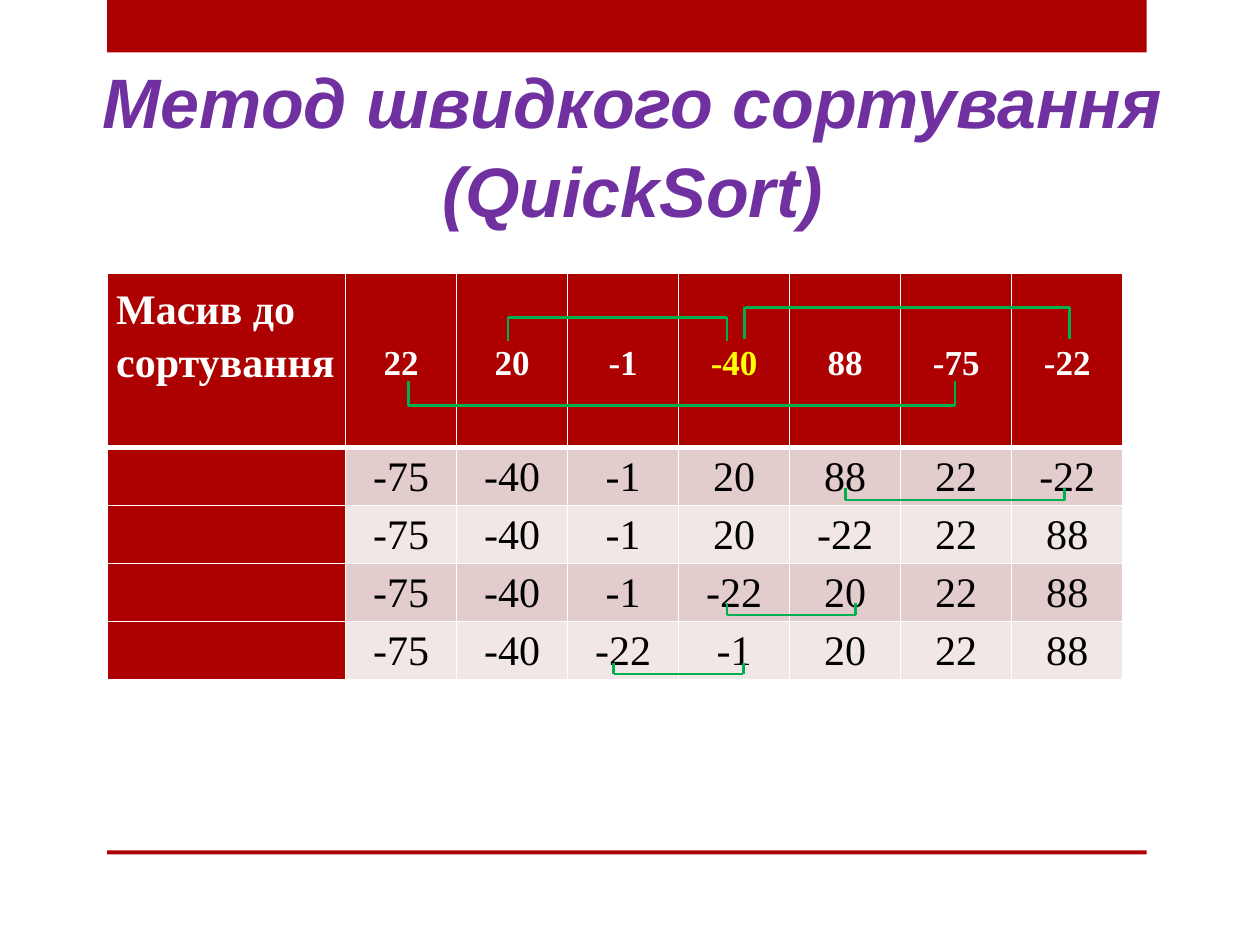
from pptx import Presentation
from pptx import oxml
from pptx.dml.color import RGBColor
from pptx.enum import shapes, text
from pptx.oxml import ns
from pptx.util import Pt


class Theme:
    red = RGBColor.from_string("AD0101")
    dark = RGBColor.from_string("E3CCCC")
    light = RGBColor.from_string("F1E7E7")
    white = RGBColor.from_string("FFFFFF")
    black = RGBColor.from_string("000000")
    yellow = RGBColor.from_string("FFFF00")
    purple = RGBColor.from_string("7030A0")
    green = RGBColor.from_string("00B050")
    serif = "Times New Roman"
    sans = "Arial"
    title = 40
    body = 24
    head = 20


def write(frame, words, size=Theme.body, face=Theme.serif, color=Theme.black,
          bold=False, italic=False, align=text.PP_ALIGN.CENTER, space=1.15):
    para = frame.paragraphs[0]
    para.alignment = align
    para.line_spacing = space
    run = para.add_run()
    run.text = words
    font = run.font
    font.size = Pt(size)
    font.name = face
    font.bold = bold
    font.italic = italic
    font.color.rgb = color


def edge(cell, row):
    props = cell._tc.get_or_add_tcPr()
    for spot, side in enumerate("LRTB"):
        thick = (row == 0 and side == "B") or (row == 1 and side == "T")
        line = oxml.parse_xml(
            f'<a:ln{side} {ns.nsdecls("a")} w="{Pt(3 if thick else 1)}">'
            f'<a:solidFill><a:srgbClr val="{Theme.white}"/></a:solidFill>'
            f'</a:ln{side}>')
        props.insert(spot, line)


deck = Presentation()
deck.slide_width, deck.slide_height = Pt(720), Pt(540)
slide = deck.slides.add_slide(deck.slide_layouts[5])

for top, height in ((0, 30), (486, 2.2)):
    bar = slide.shapes.add_shape(shapes.MSO_SHAPE.RECTANGLE,
                                 Pt(61.2), Pt(top), Pt(594), Pt(height))
    bar.shadow.inherit = False
    bar.fill.solid()
    bar.fill.fore_color.rgb = Theme.red
    bar.line.fill.background()

title = slide.shapes.title
title.left, title.top, title.width, title.height = Pt(18.7), Pt(29.5), Pt(685.4), Pt(104.4)
title.text_frame.word_wrap = True
title.text_frame.auto_size = text.MSO_AUTO_SIZE.SHAPE_TO_FIT_TEXT
title.text_frame.vertical_anchor = text.MSO_ANCHOR.MIDDLE
write(title.text_frame, "Метод швидкого сортування (QuickSort)", size=Theme.title,
      face=Theme.sans, color=Theme.purple, bold=True, italic=True, space=1.05)

steps = [
    ["Масив до сортування", 22, 20, -1, -40, 88, -75, -22],
    ["", -75, -40, -1, 20, 88, 22, -22],
    ["", -75, -40, -1, 20, -22, 22, 88],
    ["", -75, -40, -1, -22, 20, 22, 88],
    ["", -75, -40, -22, -1, 20, 22, 88],
]
pivot = -40
wide, narrow, tall, short = 136.1, 63.45, 99.5, 33.1
table = slide.shapes.add_table(
    len(steps), len(steps[0]), Pt(61.4), Pt(156.2),
    Pt(wide + 7 * narrow), Pt(tall + 4 * short)).table
table.horz_banding = False
for col, column in enumerate(table.columns):
    column.width = Pt(narrow if col else wide)

for row, step in enumerate(steps):
    table.rows[row].height = Pt(short if row else tall)
    for col, value in enumerate(step):
        cell = table.cell(row, col)
        cell.margin_left = cell.margin_right = Pt(5)
        cell.margin_top = cell.margin_bottom = 0
        cell.fill.solid()
        if row == 0 or col == 0:
            cell.fill.fore_color.rgb = Theme.red
        else:
            cell.fill.fore_color.rgb = Theme.dark if row % 2 else Theme.light
        edge(cell, row)
        if row == 0:
            cell.vertical_anchor = text.MSO_ANCHOR.MIDDLE
        if row == 0 and col == 0:
            cell.margin_bottom = Pt(31)
            write(cell.text_frame, value, color=Theme.white, bold=True,
                  align=text.PP_ALIGN.LEFT)
        elif row == 0:
            write(cell.text_frame, str(value), size=Theme.head, bold=True,
                  color=Theme.yellow if value == pivot else Theme.white)
        elif col:
            write(cell.text_frame, str(value))

swaps = [
    (233.3, 545.8, 231.8, 217.8),
    (425.5, 611.3, 175.7, 194),
    (290.2, 415.4, 181.4, 194.8),
    (483.1, 608.4, 285.8, 279),
    (415.4, 488.9, 351.4, 344.5),
    (350.6, 424.8, 385.2, 378.7),
]
for left, right, base, tip in swaps:
    group = slide.shapes.add_group_shape()
    for ends in ((left, base, right, base), (left, tip, left, base), (right, tip, right, base)):
        line = group.shapes.add_connector(shapes.MSO_CONNECTOR.STRAIGHT, *map(Pt, ends))
        line.line.color.rgb = Theme.green
        line.line.width = Pt(1.5)
        line._element.spPr.append(oxml.parse_xml(f'<a:effectLst {ns.nsdecls("a")}/>'))

deck.save("out.pptx")
